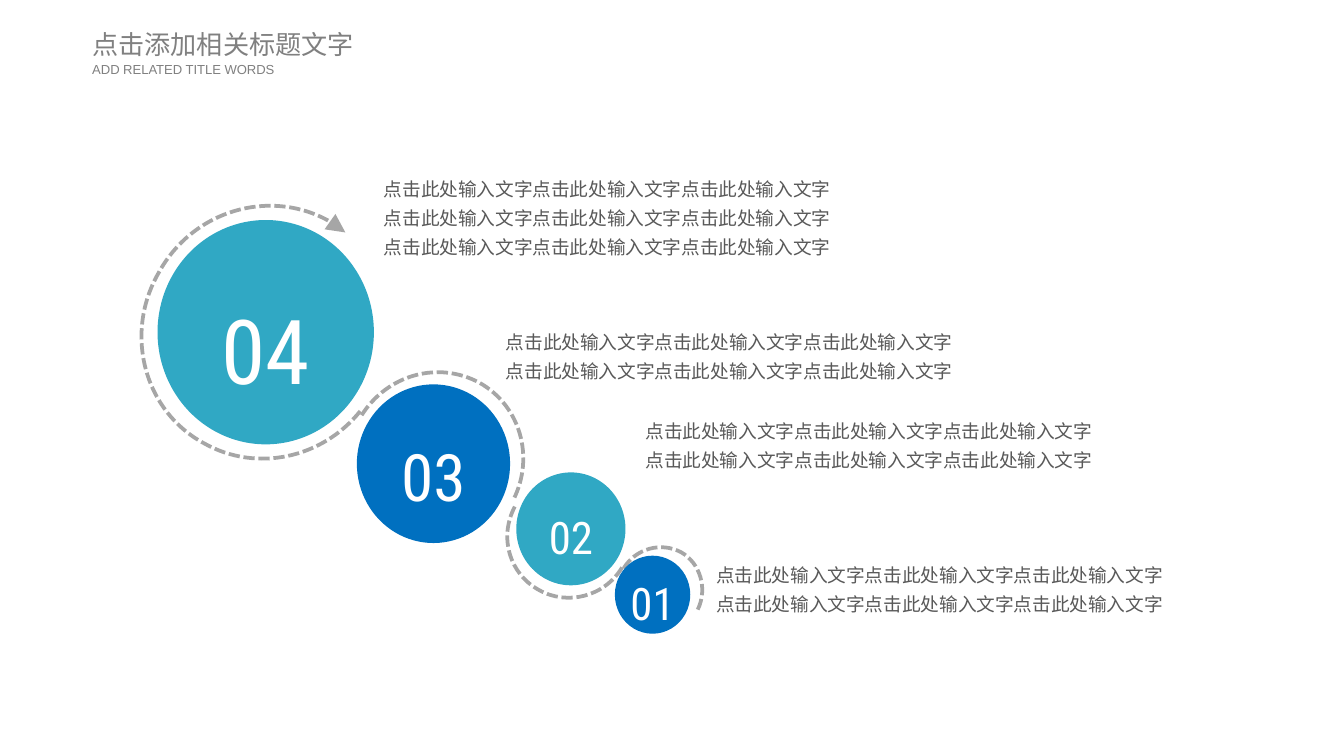
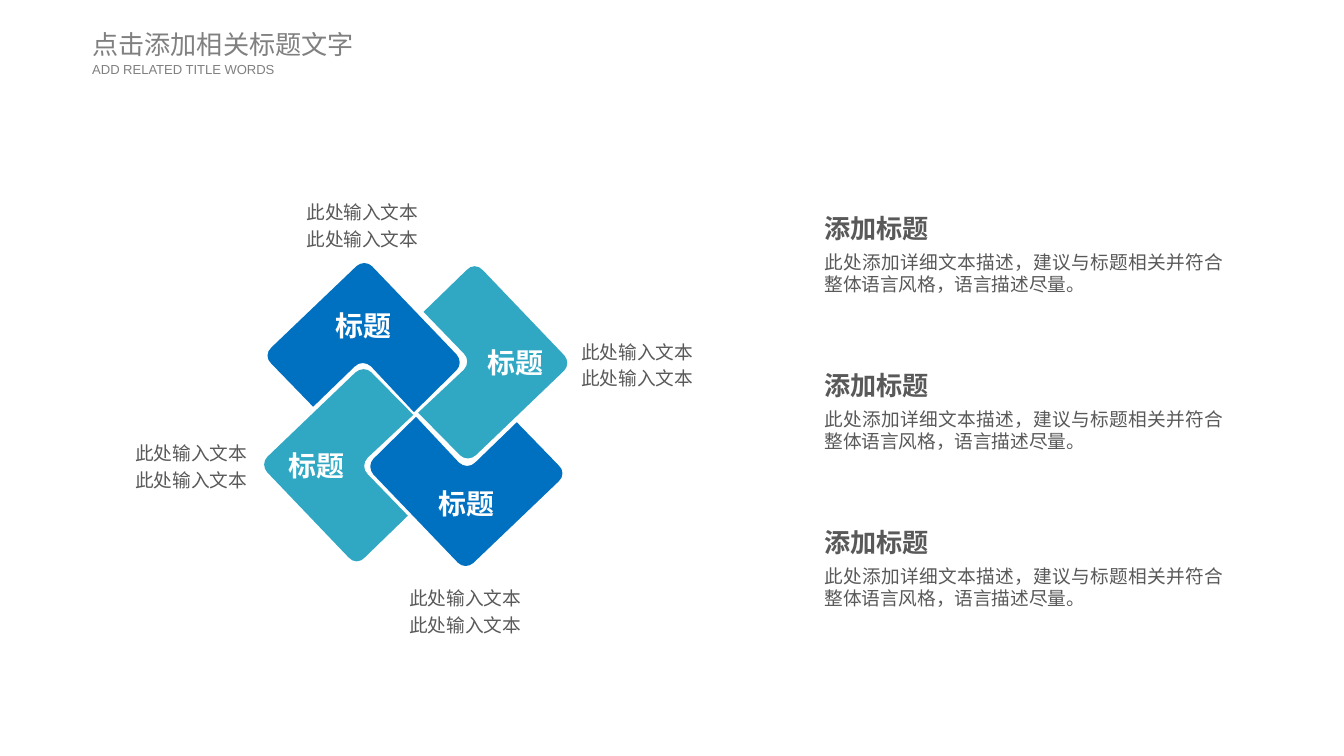
"""Builds two slides: a chain of numbered circles and a pinwheel of four tiles."""
from math import cos, radians, sin

from lxml import etree
from pptx import Presentation
from pptx.dml.color import RGBColor
from pptx.enum.dml import MSO_LINE
from pptx.enum.shapes import MSO_SHAPE
from pptx.enum.text import MSO_ANCHOR, MSO_AUTO_SIZE, PP_ALIGN
from pptx.oxml.ns import qn
from pptx.util import Pt

DASH = MSO_LINE.SQUARE_DOT
ELLIPSE = MSO_SHAPE.OVAL
TOP, MIDDLE = MSO_ANCHOR.TOP, MSO_ANCHOR.MIDDLE
GROW, FIXED = MSO_AUTO_SIZE.SHAPE_TO_FIT_TEXT, MSO_AUTO_SIZE.NONE
LEFT, CENTER, RIGHT, JUSTIFY = PP_ALIGN.LEFT, PP_ALIGN.CENTER, PP_ALIGN.RIGHT, PP_ALIGN.JUSTIFY

COLORS = {
    "teal": "30A8C4",
    "blue": "0070C0",
    "heading": "808080",
    "body": "595959",
    "arc": "A6A6A6",
    "white": "FFFFFF",
}
TITLE_FONT, BODY_FONT, NUMBER_FONT = "Arial", "Noto Sans CJK SC", "Roboto Condensed"
ARC_TURN = 29.1

CIRCLES = [
    ("04", (84.4, 117.9, 115.9, 120.2), "teal", 48),
    ("03", (191.2, 205.9, 82.1, 85), "blue", 35),
    ("02", (276.6, 253.1, 58.5, 60.5), "teal", 24),
    ("01", (329.4, 297.7, 40.4, 41.8), "blue", 24),
]
ARCS = [
    ((76.3, 109.4, 131, 136.8), [
        (193, 220.3),
        (172.8, 245.5, 137.5, 253.4, 109.4, 237.6),
        (77, 220.3, 66.2, 178.6, 85, 146.2),
        (103, 113, 144, 100.8, 175.7, 118.1),
        (179.3, 120.2, 182.2, 122.4, 185, 124.6),
    ]),
    ((199.4, 202.3, 92.9, 46.1), [
        (193.7, 222.5),
        (207.4, 200.9, 234.7, 193, 257, 205.2),
        (278.6, 217.4, 286.6, 244.8, 275, 267.8),
    ]),
    ((263.5, 285.8, 66.2, 32.4), [
        (275.8, 271.4),
        (267.1, 288, 272.9, 307.4, 288.7, 316.1),
        (303.8, 324.7, 324, 319.7, 333.4, 303.8),
    ]),
    ((336.2, 294.5, 46.1, 22.3), [
        (334.1, 304.6),
        (340.6, 293.8, 354.2, 290.2, 365, 295.9),
        (375.1, 301.7, 379.4, 315.4, 373.7, 326.9),
    ]),
]
STEP_TEXTS = [
    ((200.7, 89.3, 293, 51.8), 3),
    ((266, 171.4, 274.3, 36), 2),
    ((340.9, 218.9, 266.4, 36), 2),
    ((378.7, 296.3, 268.6, 36), 2),
]
TILE_SIZE = (79.9, 103)
TILE_OUTLINE = [
    (53.3, 0),
    (54.8, 0, 56.3, 0.6, 57.4, 1.7),
    (79.9, 24.5),
    (55.4, 47.5),
    (53, 50, 53, 53.8, 55.4, 56.2),
    (77, 78.5),
    (54, 100.8),
    (51.6, 103.7, 47.6, 103.7, 45.2, 100.8),
    (1.6, 55.2),
    (0.6, 54, 0, 52.6, 0, 51.1),
    (0, 49.6, 0.6, 48.1, 1.7, 47),
    (49, 1.7),
    (50.2, 0.6, 51.7, 0, 53.3, 0),
]
TILES = [
    ((141.5, 197.8), "teal", LEFT, (13, 0, 0, 0)),
    ((143.3, 140.9), "blue", CENTER, (0, 0, 0, 13)),
    ((224, 142.6), "teal", RIGHT, (0, 0, 13, 0)),
    ((198.4, 223.3), "blue", CENTER, (0, 13, 0, 0)),
]
TILE_LABELS = [
    (306.4, 176.4, LEFT),
    (195.8, 308.5, CENTER),
    (140.7, 101.5, CENTER),
    (30.6, 230.7, RIGHT),
]


def turn(path, degrees, pivot, target):
    """Turn a path clockwise about a pivot and carry the pivot to a target."""
    c, s = cos(radians(degrees)), sin(radians(degrees))
    turned = []
    for step in path:
        points = [(x - pivot[0], y - pivot[1]) for x, y in zip(step[::2], step[1::2])]
        turned.append([(target[0] + x * c - y * s, target[1] + x * s + y * c) for x, y in points])
    return turned


def write(shape, text, *, size, font=BODY_FONT, color="body", bold=False, align=LEFT, anchor=TOP,
          spacing=None, insets=(0, 0, 0, 0), wrap=True, fit=FIXED):
    """Write the lines of a text into a shape in one format."""
    frame = shape.text_frame
    frame.word_wrap, frame.auto_size, frame.vertical_anchor = wrap, fit, anchor
    frame.margin_left, frame.margin_top, frame.margin_right, frame.margin_bottom = map(Pt, insets)
    for index, line in enumerate(text.split("\n")):
        paragraph = frame.add_paragraph() if index else frame.paragraphs[0]
        paragraph.alignment, paragraph.line_spacing = align, spacing
        run = paragraph.add_run()
        run.text = line
        run.font.size, run.font.bold, run.font.name = Pt(size), bold, font
        run.font.color.rgb = RGBColor.from_string(COLORS[color])
        etree.SubElement(run.font._element, qn("a:ea"), typeface=font)


class Deck:
    """Holds the presentation, its style and the current slide."""

    def __init__(self):
        """Start an empty presentation."""
        self.presentation = Presentation()
        self.presentation.slide_width, self.presentation.slide_height = Pt(720), Pt(405)
        self.slide = None

    def add_slide(self):
        """Start a slide with the shared heading."""
        self.slide = self.presentation.slides.add_slide(self.presentation.slide_layouts[6])
        heading = {"font": TITLE_FONT, "color": "heading", "wrap": False, "fit": GROW}
        self.text((49.4, 15.1, 143.3, 17.3), "点击添加相关标题文字", size=14, **heading)
        self.text((49.4, 33.1, 99.4, 8.6), "ADD RELATED TITLE WORDS", size=7, **heading)

    def text(self, box, text, **style):
        """Add a text box."""
        write(self.slide.shapes.add_textbox(*map(Pt, box)), text, **style)

    def paint(self, shape, color):
        """Give a shape a plain fill without line or shadow."""
        shape.shadow.inherit = False
        shape.fill.solid()
        shape.fill.fore_color.rgb = RGBColor.from_string(COLORS[color])
        shape.line.fill.background()

    def circle(self, box, color, number, size):
        """Add a numbered circle."""
        shape = self.slide.shapes.add_shape(ELLIPSE, *map(Pt, box))
        self.paint(shape, color)
        write(shape, number, size=size, font=NUMBER_FONT, color="white", align=CENTER,
              anchor=MIDDLE, spacing=1.3)

    def outline(self, box, steps, close):
        """Add a freeform of lines and curves, with points measured from the corner of its box."""
        left, top, width, height = box
        builder = self.slide.shapes.build_freeform(Pt(left), Pt(top), scale=1.0)
        builder.add_line_segments([(Pt(left + width), Pt(top + height))], close=False)
        shape = builder.convert_to_shape()
        geometry = shape._element.find(".//" + qn("a:path"))
        for child in list(geometry):
            geometry.remove(child)
        for index, points in enumerate(steps):
            tag = "a:cubicBezTo" if len(points) == 3 else "a:lnTo" if index else "a:moveTo"
            segment = etree.SubElement(geometry, qn(tag))
            for x, y in points:
                etree.SubElement(segment, qn("a:pt"), x=str(int(Pt(x))), y=str(int(Pt(y))))
        if close:
            etree.SubElement(geometry, qn("a:close"))
        return shape

    def arc(self, box, path, arrow):
        """Add a dashed arc, with an arrowhead at its end if wanted."""
        left, top, width, height = box
        middle = (width / 2, height / 2)
        steps = turn(path, -ARC_TURN, (left + middle[0], top + middle[1]), middle)
        shape = self.outline(box, steps, False)
        shape.rotation = ARC_TURN
        shape.shadow.inherit = False
        shape.fill.background()
        shape.line.color.rgb = RGBColor.from_string(COLORS["arc"])
        shape.line.width, shape.line.dash_style = Pt(2), DASH
        if arrow:
            etree.SubElement(shape.line._get_or_add_ln(), qn("a:tailEnd"), type="triangle",
                             w="lg", len="lg")

    def tile(self, corner, quarter, color, align, insets):
        """Add a pinwheel tile turned by quarters."""
        width, height = TILE_SIZE[::-1] if quarter % 2 else TILE_SIZE
        pivot = (TILE_SIZE[0] / 2, TILE_SIZE[1] / 2)
        steps = turn(TILE_OUTLINE, 90 * quarter, pivot, (width / 2, height / 2))
        shape = self.outline((*corner, width, height), steps, True)
        self.paint(shape, color)
        write(shape, "标题", size=15, color="white", bold=True, align=align, anchor=MIDDLE,
              insets=insets)

    def card(self, top):
        """Add a heading with its description."""
        style = {"insets": (7.2, 3.6, 7.2, 3.6), "fit": GROW}
        self.text((434.6, top, 157.7, 24.5), "添加标题", size=14, bold=True, **style)
        self.text((434.6, top + 20.6, 227.5, 31.7),
                  "此处添加详细文本描述，建议与标题相关并符合整体语言风格，语言描述尽量。",
                  size=10, align=JUSTIFY, **style)


def build_steps(deck):
    """Build the slide with the chain of circles."""
    deck.add_slide()
    for index, (box, path) in enumerate(ARCS):
        deck.arc(box, path, arrow=index == 0)
    for number, box, color, size in CIRCLES:
        deck.circle(box, color, number, size)
    for box, lines in STEP_TEXTS:
        deck.text(box, "\n".join(["点击此处输入文字" * 3] * lines), size=10, align=JUSTIFY,
                  spacing=1.3, insets=(5, 2.2, 5, 2.2), fit=GROW)


def build_pinwheel(deck):
    """Build the slide with the pinwheel and its cards."""
    deck.add_slide()
    for quarter, (corner, color, align, insets) in enumerate(TILES):
        deck.tile(corner, quarter, color, align, insets)
    for left, top, align in TILE_LABELS:
        deck.text((left, top, 106.6, 36), "\n".join(["此处输入文本"] * 2), size=10, align=align,
                  anchor=MIDDLE, spacing=1.2, insets=(5, 2.9, 5, 2.9))
    for index in range(3):
        deck.card(110 + 84.25 * index)


def main():
    """Build and save the presentation."""
    deck = Deck()
    build_steps(deck)
    build_pinwheel(deck)
    deck.presentation.save("out.pptx")


if __name__ == "__main__":
    main()
